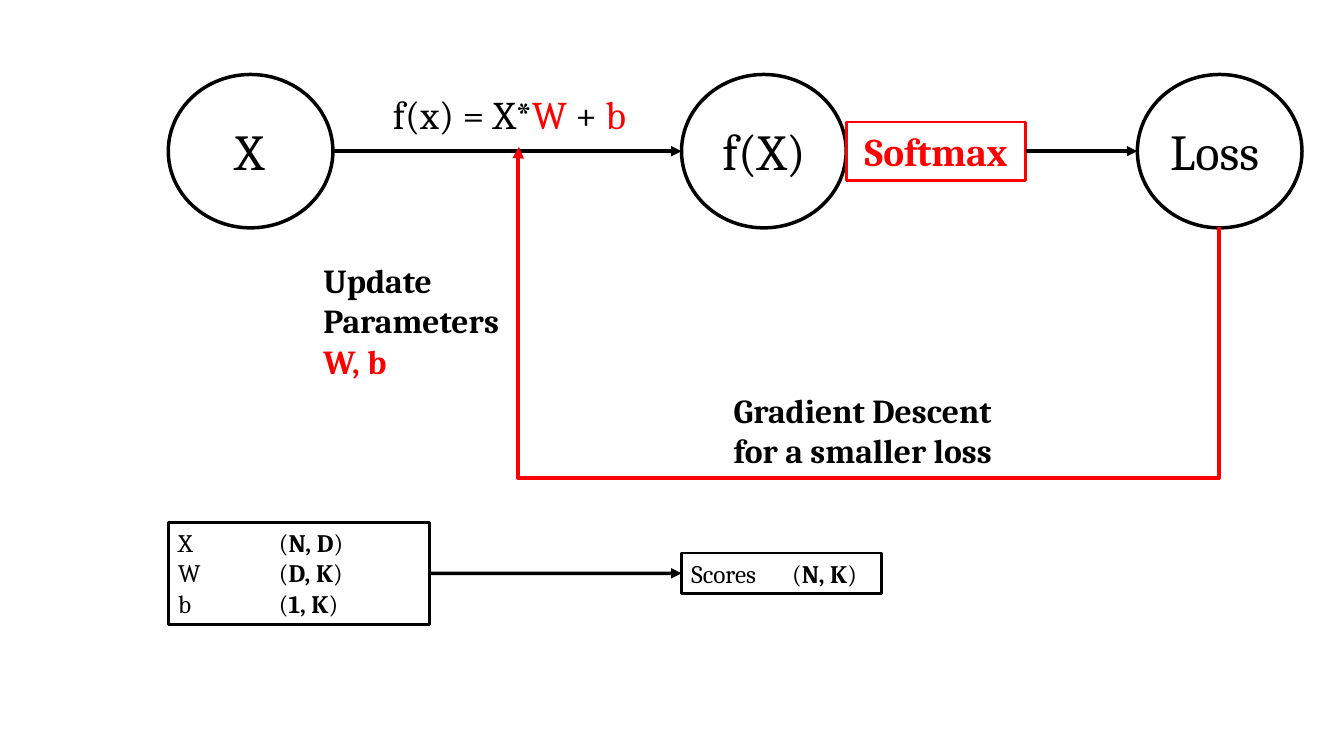
"""Build a slide showing a linear classifier trained by gradient descent."""
from dataclasses import dataclass

from lxml import etree
from pptx import Presentation
from pptx import util as u
from pptx.dml.color import RGBColor
from pptx.enum import shapes, text
from pptx.oxml import ns

BLACK = RGBColor(0x00, 0x00, 0x00)
RED = RGBColor(0xFF, 0x00, 0x00)
FONT = "Cambria"
ROW_Y = 108
CIRCLE_WIDTH, CIRCLE_HEIGHT = 117.6, 109.6
X_LEFT, SCORE_LEFT, LOSS_LEFT = 120.2, 486.8, 812.4
TAB_STOP = u.Pt(72)


@dataclass(frozen=True)
class Span:
    content: str
    color: RGBColor = BLACK
    bold: bool = False


@dataclass(frozen=True)
class Label:
    left: float
    top: float
    width: float
    height: float
    size: float
    lines: tuple[tuple[Span, ...], ...]
    wrap: bool = False


@dataclass(frozen=True)
class Box:
    label: Label
    color: RGBColor = BLACK
    centered: bool = False


def dimension(name: str, size: str) -> tuple[Span, ...]:
    """Return a line naming a matrix and its dimensions."""
    return Span(f"{name}\t("), Span(size, bold=True), Span(")")


LABELS = (
    Label(160.6, 82, 35.3, 51, 36, ((Span("X"),),)),
    Label(509, 82, 74.2, 51, 36, ((Span("f(X)"),),)),
    Label(828.7, 82, 85, 51, 36, ((Span("Loss"),),)),
    Label(273.6, 61.2, 210.2, 41, 28,
          ((Span("f(x) = X*"), Span("W", RED), Span(" + "), Span("b", RED)),)),
    Label(517, 275, 218.9, 65.5, 24,
          ((Span("Gradient Descent for a smaller loss", bold=True),),), wrap=True),
    Label(224, 182.2, 146.9, 94.3, 24,
          ((Span("Update Parameters", bold=True),), (Span("W, b", RED, True),)), wrap=True),
)
SOFTMAX = Box(Label(604.6, ROW_Y - 20.9, 128, 41.8, 28,
                    ((Span("Softmax", RED, True),),), wrap=True), RED, True)
INPUTS = Box(Label(X_LEFT, 373.2, 186.7, 72.8, 18,
                   (dimension("X", "N, D"), dimension("W", "D, K"), dimension("b", "1, K")),
                   wrap=True))
SCORES = Box(Label(SCORE_LEFT, 395, 142.6, 29.1, 18, (dimension("Scores", "N, K"),), wrap=True))


def write(frame, label: Label) -> None:
    """Fill a text frame with the lines of a label."""
    frame.word_wrap = label.wrap
    for index, spans in enumerate(label.lines):
        paragraph = frame.paragraphs[0] if index == 0 else frame.add_paragraph()
        paragraph.alignment = text.PP_ALIGN.LEFT
        if any("\t" in span.content for span in spans):
            properties = paragraph._p.get_or_add_pPr()
            stops = etree.SubElement(properties, ns.qn("a:tabLst"))
            etree.SubElement(stops, ns.qn("a:tab"), pos=str(TAB_STOP), algn="l")
        paragraph.font.name = FONT
        paragraph.font.size = u.Pt(label.size)
        for span in spans:
            run = paragraph.add_run()
            run.text = span.content
            run.font.bold = span.bold
            run.font.color.rgb = span.color


def add_label(slide, label: Label) -> None:
    """Add a text box."""
    shape = slide.shapes.add_textbox(
        u.Pt(label.left), u.Pt(label.top), u.Pt(label.width), u.Pt(label.height))
    write(shape.text_frame, label)


def add_outline(slide, kind, left: float, top: float, width: float, height: float,
                color: RGBColor, weight: float):
    """Add an unfilled outlined shape."""
    shape = slide.shapes.add_shape(kind, u.Pt(left), u.Pt(top), u.Pt(width), u.Pt(height))
    shape.shadow.inherit = False
    shape.fill.background()
    shape.line.color.rgb = color
    shape.line.width = u.Pt(weight)
    return shape


def add_box(slide, box: Box):
    """Add an outlined rectangle with text."""
    label = box.label
    shape = add_outline(slide, shapes.MSO_SHAPE.RECTANGLE, label.left, label.top,
                        label.width, label.height, box.color, 2)
    write(shape.text_frame, label)
    if box.centered:
        shape.text_frame.paragraphs[0].alignment = text.PP_ALIGN.CENTER
    else:
        shape.text_frame.vertical_anchor = text.MSO_ANCHOR.TOP
    return shape


def add_arrow(slide, start: tuple[float, float], end: tuple[float, float],
              color: RGBColor = BLACK, weight: float = 2.5,
              kind=shapes.MSO_CONNECTOR.STRAIGHT):
    """Add a connector with a triangular head at its end."""
    arrow = slide.shapes.add_connector(kind, *(u.Pt(value) for value in start + end))
    arrow.line.color.rgb = color
    arrow.line.width = u.Pt(weight)
    line = arrow.line._get_or_add_ln()
    etree.SubElement(line, ns.qn("a:tailEnd"), type="triangle")
    etree.SubElement(arrow._element.spPr, ns.qn("a:effectLst"))
    return arrow


def add_feedback(slide) -> None:
    """Add the red bent arrow from the loss back to the parameters."""
    arrow = add_arrow(slide, (649.3, -116.4), (592, 383.4), RED, 2.75,
                      shapes.MSO_CONNECTOR.ELBOW)
    properties = arrow._element.spPr
    properties.find(ns.qn("a:xfrm")).set("rot", "5400000")
    geometry = properties.find(ns.qn("a:prstGeom"))
    geometry.set("prst", "bentConnector4")
    adjustments = geometry.find(ns.qn("a:avLst"))
    if adjustments is None:
        adjustments = etree.SubElement(geometry, ns.qn("a:avLst"))
    for name, value in (("adj1", -313100), ("adj2", 100100)):
        etree.SubElement(adjustments, ns.qn("a:gd"), name=name, fmla=f"val {value}")


def main() -> None:
    """Build and save the presentation."""
    presentation = Presentation()
    presentation.slide_width, presentation.slide_height = u.Pt(960), u.Pt(540)
    slide = presentation.slides.add_slide(presentation.slide_layouts[6])
    for left in (X_LEFT, SCORE_LEFT, LOSS_LEFT):
        add_outline(slide, shapes.MSO_SHAPE.OVAL, left, ROW_Y - CIRCLE_HEIGHT / 2,
                    CIRCLE_WIDTH, CIRCLE_HEIGHT, BLACK, 2.5)
    softmax, inputs, scores = (add_box(slide, box) for box in (SOFTMAX, INPUTS, SCORES))
    add_arrow(slide, (X_LEFT + CIRCLE_WIDTH, ROW_Y), (SCORE_LEFT, ROW_Y))
    add_arrow(slide, (732.6, ROW_Y), (LOSS_LEFT, ROW_Y)).begin_connect(softmax, 3)
    score_arrow = add_arrow(slide, (306.9, 409.6), (SCORE_LEFT, 409.6))
    score_arrow.begin_connect(inputs, 3)
    score_arrow.end_connect(scores, 1)
    add_feedback(slide)
    for label in LABELS:
        add_label(slide, label)
    presentation.save("out.pptx")


if __name__ == "__main__":
    main()
